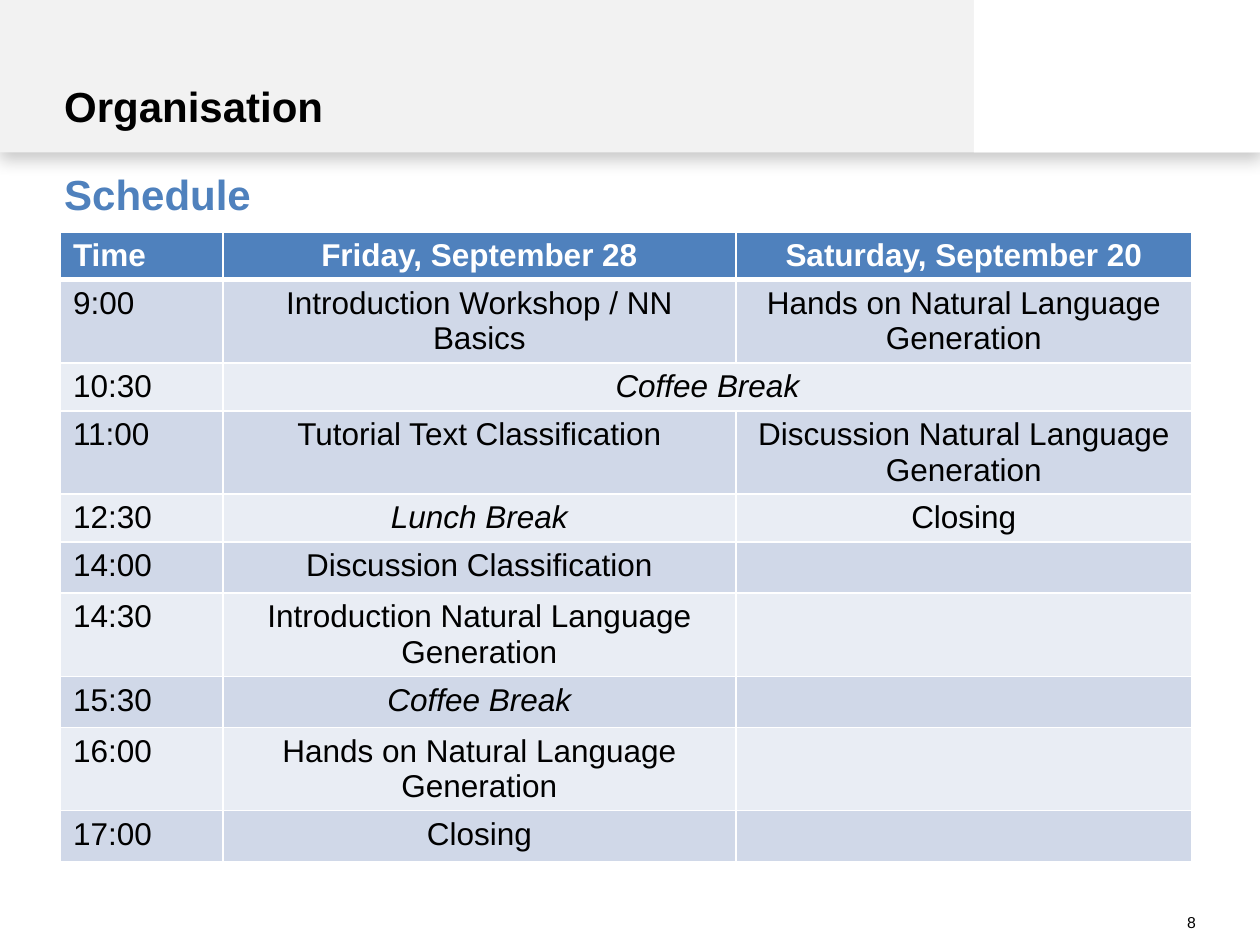
from lxml.etree import SubElement
from pptx import Presentation
from pptx.dml.color import RGBColor
from pptx.enum.shapes import MSO_SHAPE
from pptx.enum.text import MSO_ANCHOR, PP_ALIGN
from pptx.oxml import parse_xml
from pptx.oxml.ns import nsdecls, qn
from pptx.util import Inches, Pt

TITLE = "Organisation"
SUBTITLE = "Schedule"
PAGE_NUMBER = "8"
HEADINGS = ("Time", "Friday, September 28", "Saturday, September 20")
SESSIONS = [
    ("9:00", "Introduction Workshop / NN Basics", "Hands on Natural Language Generation"),
    ("10:30", "Coffee Break", ""),
    ("11:00", "Tutorial Text Classification", "Discussion Natural Language Generation"),
    ("12:30", "Lunch Break", "Closing"),
    ("14:00", "Discussion Classification", ""),
    ("14:30", "Introduction Natural Language Generation", ""),
    ("15:30", "Coffee Break", ""),
    ("16:00", "Hands on Natural Language Generation", ""),
    ("17:00", "Closing", ""),
]
SHARED_ROW = 2
COLUMN_WIDTHS = (1.29, 4.07, 3.62)
SINGLE_HEIGHT, DOUBLE_HEIGHT = 0.38, 0.66
TWO_LINE_LENGTH = 30

FONT = "Arial"
BLACK = RGBColor(0x00, 0x00, 0x00)
WHITE = RGBColor(0xFF, 0xFF, 0xFF)
GREY = RGBColor(0xF2, 0xF2, 0xF2)
BLUE = RGBColor(0x4F, 0x81, 0xBD)
BAND_DARK = RGBColor(0xD0, 0xD8, 0xE8)
BAND_LIGHT = RGBColor(0xE9, 0xED, 0xF4)


def write(frame, text, size, color, bold=False, italic=False, align=PP_ALIGN.LEFT):
    paragraph = frame.paragraphs[0]
    paragraph.alignment = align
    run = paragraph.add_run()
    run.text = text
    font = run.font
    font.name, font.size, font.bold, font.italic = FONT, Pt(size), bold, italic
    font.color.rgb = color


def place(shape, left, top, width, height, anchor):
    shape.left, shape.top = Inches(left), Inches(top)
    shape.width, shape.height = Inches(width), Inches(height)
    frame = shape.text_frame
    frame.word_wrap = True
    frame.vertical_anchor = anchor
    frame.margin_left = frame.margin_right = frame.margin_top = frame.margin_bottom = 0
    return frame


def add_text_box(slide, left, top, width, height):
    box = slide.shapes.add_textbox(0, 0, 0, 0)
    return place(box, left, top, width, height, MSO_ANCHOR.MIDDLE)


def add_band(slide, left, width, color):
    band = slide.shapes.add_shape(
        MSO_SHAPE.RECTANGLE, Inches(left), 0, Inches(width), Inches(1.21))
    band.fill.solid()
    band.fill.fore_color.rgb = color
    band.line.fill.background()
    band.shadow.inherit = False
    return band


def add_shadow(shape):
    effects = shape.element.spPr.find(qn("a:effectLst"))
    shadow = SubElement(effects, qn("a:outerShdw"), blurRad=str(Pt(10)),
                        dist=str(Pt(3)), dir="5400000", algn="t", rotWithShape="0")
    color = SubElement(shadow, qn("a:srgbClr"), val=str(BLACK))
    SubElement(color, qn("a:alpha"), val="22000")


def set_borders(cell, row):
    widths = {"L": 1, "R": 1, "T": 3 if row == 1 else 1, "B": 3 if row == 0 else 1}
    properties = cell._tc.get_or_add_tcPr()
    for side, width in widths.items():
        properties.append(parse_xml(
            f'<a:ln{side} {nsdecls("a")} w="{Pt(width)}"><a:solidFill>'
            f'<a:srgbClr val="{WHITE}"/></a:solidFill></a:ln{side}>'))


def add_schedule(slide):
    rows = [HEADINGS, *SESSIONS]
    heights = [DOUBLE_HEIGHT if max(map(len, row)) > TWO_LINE_LENGTH else SINGLE_HEIGHT
               for row in rows]
    table = slide.shapes.add_table(
        len(rows), len(HEADINGS), Inches(0.48), Inches(1.84),
        Inches(sum(COLUMN_WIDTHS)), Inches(sum(heights))).table
    for column, width in zip(table.columns, COLUMN_WIDTHS):
        column.width = Inches(width)
    for row_index, (texts, height) in enumerate(zip(rows, heights)):
        table.rows[row_index].height = Inches(height)
        is_heading = row_index == 0
        band = BLUE if is_heading else BAND_DARK if row_index % 2 else BAND_LIGHT
        for column_index, text in enumerate(texts):
            cell = table.cell(row_index, column_index)
            set_borders(cell, row_index)
            cell.fill.solid()
            cell.fill.fore_color.rgb = band
            if text:
                write(cell.text_frame, text, 18, WHITE if is_heading else BLACK,
                      bold=is_heading, italic=text.endswith("Break"),
                      align=PP_ALIGN.CENTER if column_index else PP_ALIGN.LEFT)
    table.cell(SHARED_ROW, 1).merge(table.cell(SHARED_ROW, 2))


def main():
    presentation = Presentation()
    presentation.slide_width, presentation.slide_height = Inches(10), Inches(7.5)
    slide = presentation.slides.add_slide(presentation.slide_layouts[5])

    add_shadow(add_band(slide, 0, 10, GREY))
    add_band(slide, 7.73, 2.27, WHITE)

    page_frame = add_text_box(slide, 5, 7.24, 4.49, 0.15)
    write(page_frame, PAGE_NUMBER, 9, BLACK, align=PP_ALIGN.RIGHT)
    subtitle_frame = add_text_box(slide, 0.51, 1.34, 8.97, 0.39)
    write(subtitle_frame, SUBTITLE, 24, BLUE, bold=True)

    title = slide.shapes.title
    title.element.getparent().append(title.element)
    title_frame = place(title, 0.51, 0.26, 6.43, 0.78, MSO_ANCHOR.BOTTOM)
    write(title_frame, TITLE, 24, BLACK, bold=True)

    add_schedule(slide)
    presentation.save("out.pptx")


if __name__ == "__main__":
    main()
